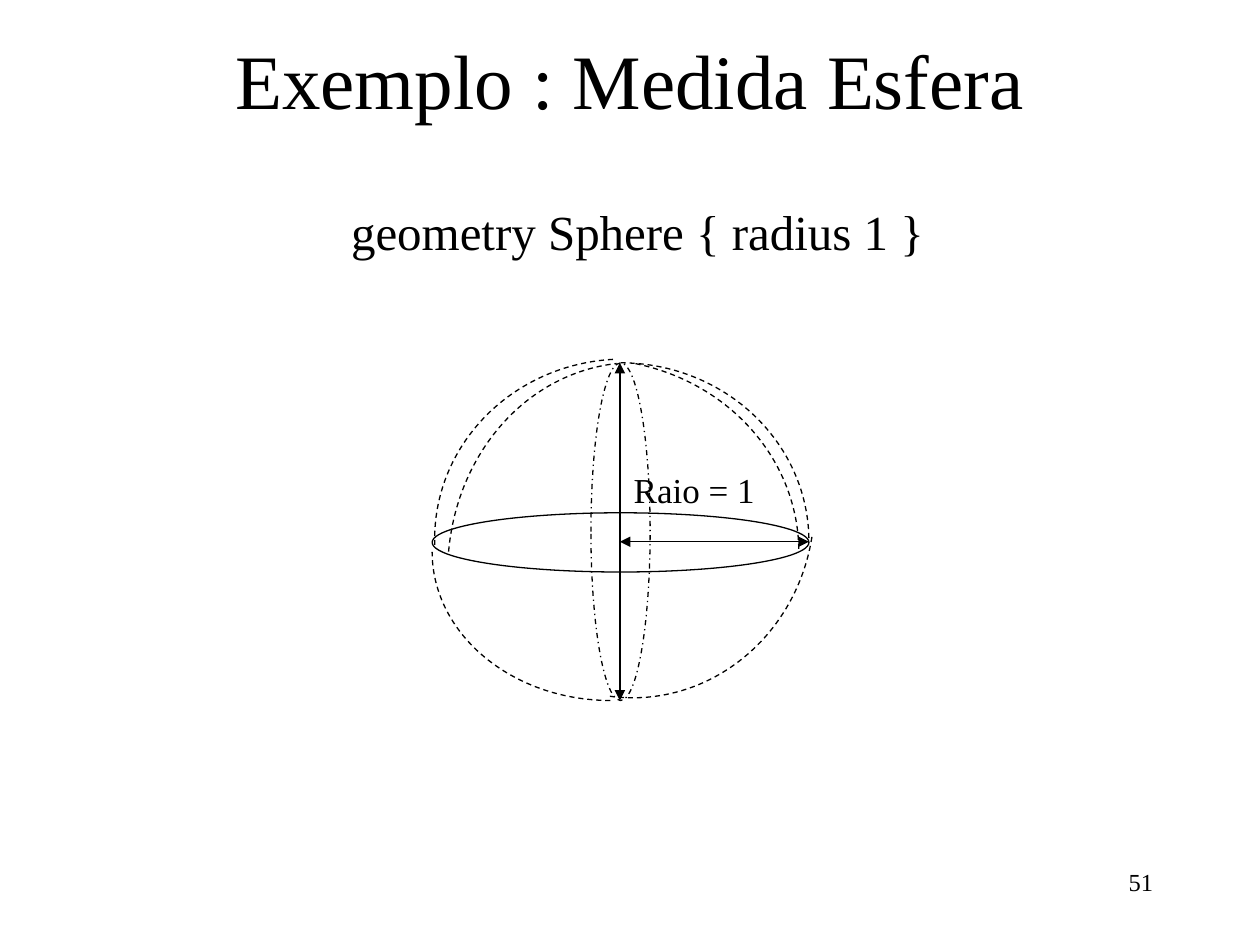
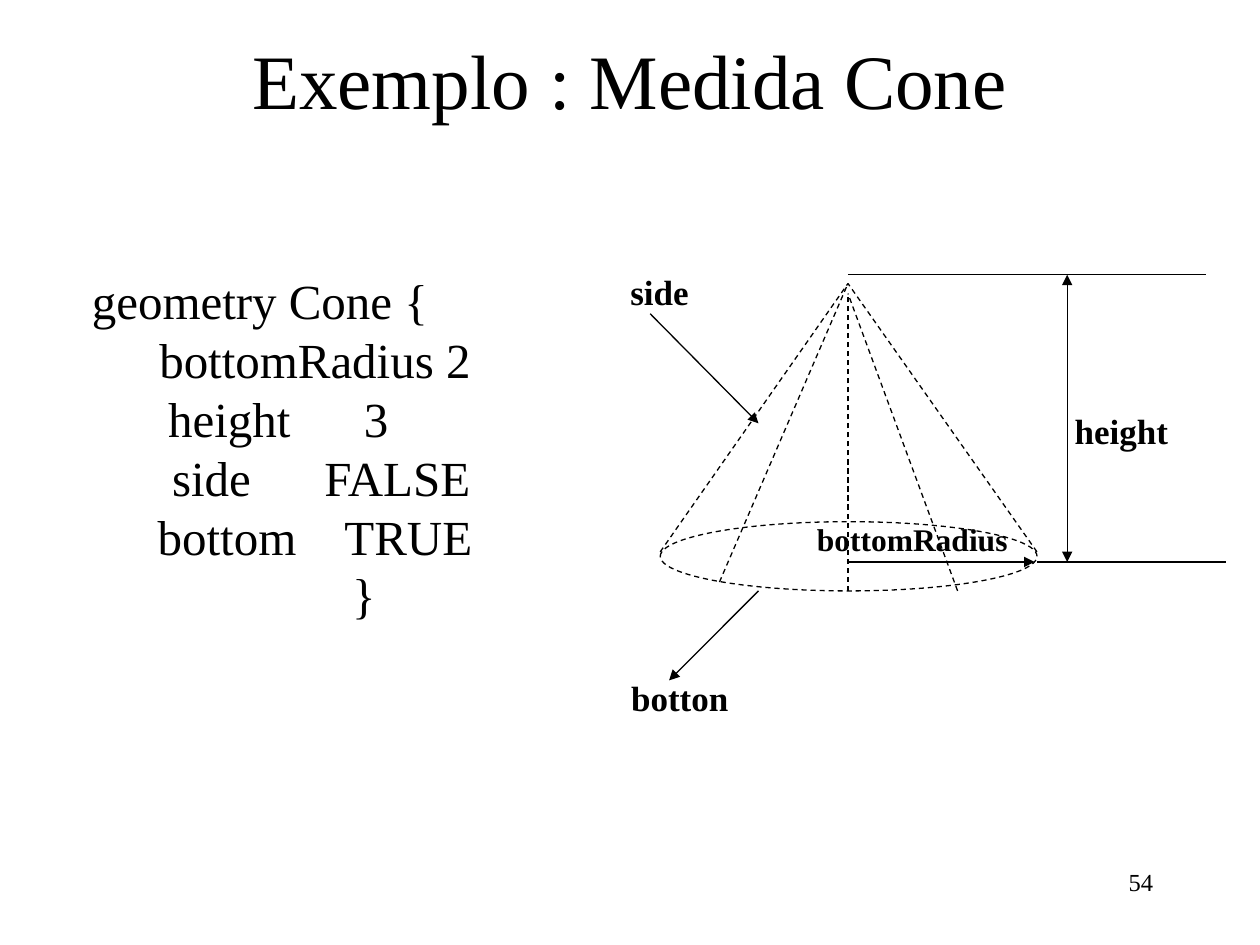
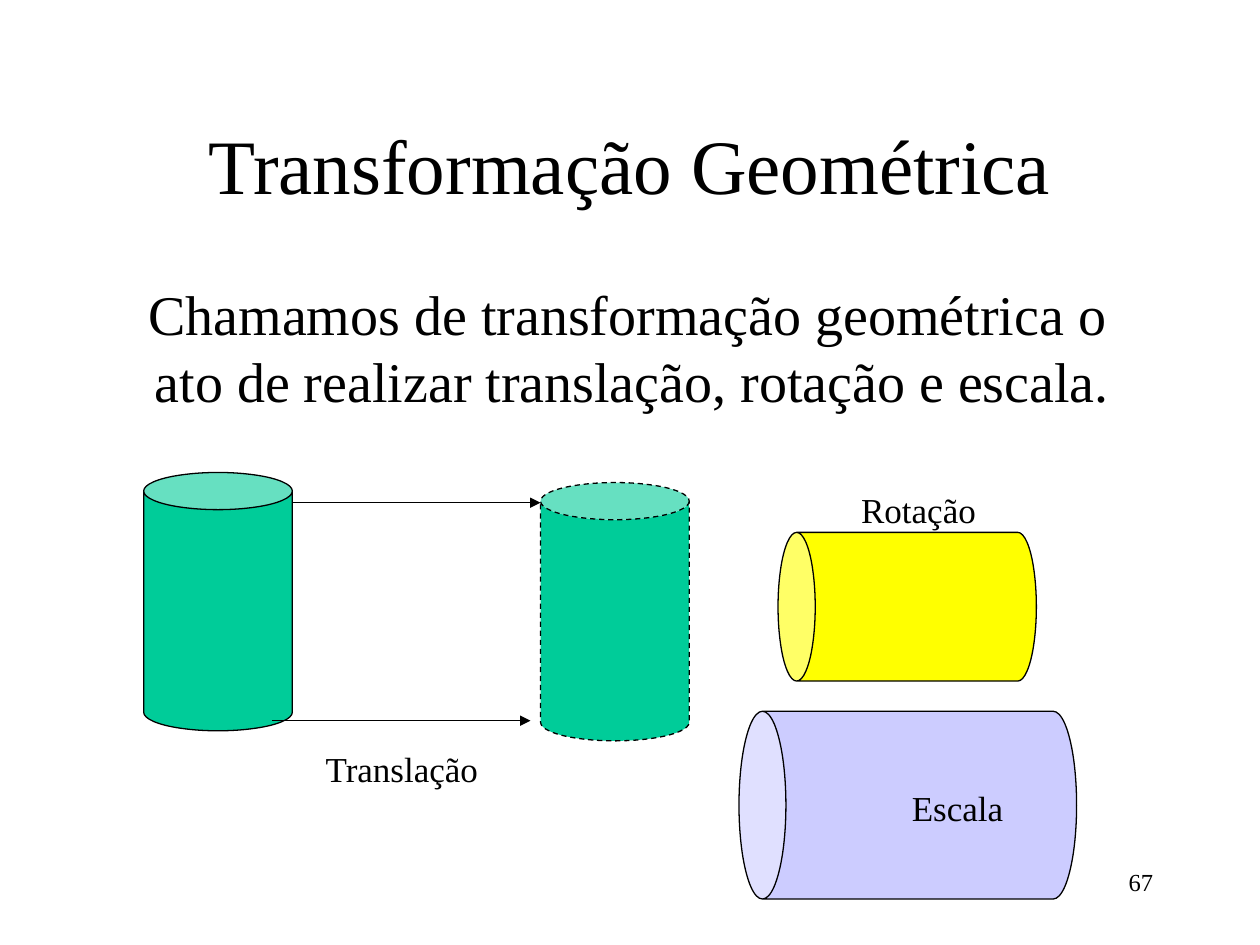
from dataclasses import dataclass

from lxml.etree import SubElement
from pptx import Presentation
from pptx.dml.color import RGBColor
from pptx.enum.dml import MSO_LINE
from pptx.enum.shapes import MSO_CONNECTOR, MSO_SHAPE
from pptx.enum.text import MSO_ANCHOR, PP_ALIGN
from pptx.oxml.ns import qn
from pptx.util import Inches, Pt


@dataclass(frozen=True)
class Theme:
    font: str = "Times New Roman"
    ink: RGBColor = RGBColor(0, 0, 0)
    green: RGBColor = RGBColor(0x00, 0xCC, 0x99)
    yellow: RGBColor = RGBColor(0xFF, 0xFF, 0x00)
    lilac: RGBColor = RGBColor(0xCC, 0xCC, 0xFF)
    title: int = 44
    body: int = 32
    code: int = 28
    label: int = 20
    small_label: int = 18
    number: int = 14
    line: float = 0.75


theme = Theme()
CENTER, LEFT, RIGHT = PP_ALIGN.CENTER, PP_ALIGN.LEFT, PP_ALIGN.RIGHT
DASH, DASH_DOT = MSO_LINE.DASH, MSO_LINE.DASH_DOT
ELLIPSE, CAN, ARC = MSO_SHAPE.OVAL, MSO_SHAPE.CAN, MSO_SHAPE.ARC
ARC_UNITS_PER_DEGREE = 0.6
NO_HEAD, END, BOTH = (), ("tailEnd",), ("headEnd", "tailEnd")


def add_text(page, area, lines, size, align=CENTER, bold=False, anchor=MSO_ANCHOR.TOP):
    box = page.shapes.add_textbox(*map(Inches, area))
    frame = box.text_frame
    frame.word_wrap = True
    frame.vertical_anchor = anchor
    font_format = {"name": theme.font, "size": Pt(size), "bold": bold}
    for index, line in enumerate(lines):
        para = frame.paragraphs[0] if index == 0 else frame.add_paragraph()
        para.alignment = align
        span = para.add_run()
        span.text = line
        for name, value in font_format.items():
            setattr(span.font, name, value)
        span.font.color.rgb = theme.ink
    return box


def set_line(item, dash):
    item.line.color.rgb = theme.ink
    line_format = {"width": Pt(theme.line), "dash_style": dash}
    for name, value in line_format.items():
        setattr(item.line, name, value)


apex, cone_left, cone_right = (6.73, 2.25), (5.24, 4.38), (8.23, 4.38)
inner_apex = (6.73, 2.33)
sphere_center = (4.92, 4.3)

slides = [
    {
        "title": "Exemplo : Medida Esfera",
        "title_top": 0,
        "number": "51",
        "shapes": [
            (ELLIPSE, (4.69, 2.88, 0.47, 2.68), 0, None, DASH_DOT, None),
            (ELLIPSE, (3.43, 4.07, 2.99, 0.47), 0, None, None, None),
            (ARC, (3.43, 2.88, 2.99, 2.83), 0, None, DASH, (270, 0)),
            (ARC, (3.45, 2.85, 2.99, 2.84), -2.1, None, DASH, (180, 270)),
            (ARC, (3.03, 2.85, 3.31, 3.06), 0, None, DASH, (283.5, 0)),
            (ARC, (3.37, 3.06, 3.43, 3.06), 83.6, None, DASH, (104.3, 180)),
            (ARC, (3.43, 3.2, 2.83, 2.36), 0, None, DASH, (90, 180)),
            (ARC, (3.55, 2.63, 2.99, 2.83), 98.8, None, DASH, (270, 0)),
        ],
        "lines": [
            (sphere_center, (6.42, 4.3), None, BOTH),
            ((4.92, 2.88), (4.92, 5.56), None, BOTH),
        ],
        "labels": [
            ((4.37, 3.67, 2.28, 0.44), ["Raio = 1"], theme.label, False),
            ((2.56, 1.55, 5, 0.57), ["geometry Sphere { radius 1 }"], theme.code, False),
        ],
    },
    {
        "title": "Exemplo : Medida Cone",
        "title_top": 0,
        "number": "54",
        "shapes": [(ELLIPSE, (5.24, 4.14, 2.99, 0.55), 0, None, DASH, None)],
        "lines": [
            (cone_left, apex, DASH, NO_HEAD),
            (cone_right, apex, DASH, NO_HEAD),
            ((5.71, 4.62), apex, DASH, NO_HEAD),
            ((6.73, 4.69), inner_apex, DASH, NO_HEAD),
            ((7.6, 4.69), inner_apex, DASH, NO_HEAD),
            ((6.72, 4.46), (8.21, 4.46), None, END),
            ((6.73, 2.18), (9.57, 2.18), None, NO_HEAD),
            ((8.23, 4.46), (9.73, 4.46), None, NO_HEAD),
            ((8.47, 2.18), (8.47, 4.46), None, BOTH),
            ((6.02, 4.69), (5.31, 5.4), None, END),
            ((5.16, 2.49), (6.02, 3.36), None, END),
        ],
        "labels": [
            (
                (0.27, 2.1, 3.78, 2.9),
                [
                    "geometry Cone {  ",
                    "       bottomRadius 2",
                    " height      3",
                    "        side      FALSE",
                    "         bottom    TRUE                  }",
                ],
                theme.code,
                False,
            ),
            ((6.1, 4.08, 2.28, 0.4), ["bottomRadius"], theme.small_label, True),
            ((8.36, 3.2, 1.08, 0.44), ["height"], theme.label, True),
            ((4.45, 5.32, 1.89, 0.44), ["botton"], theme.label, True),
            ((4.21, 2.1, 2.05, 0.44), ["side"], theme.label, True),
        ],
    },
    {
        "title": "Transformação Geométrica",
        "title_top": 0.67,
        "number": "67",
        "shapes": [
            (CAN, (1.14, 3.75, 1.18, 2.05), 0, theme.green, None, None),
            (CAN, (4.29, 3.83, 1.18, 2.05), 0, theme.green, DASH, None),
            (CAN, (6.61, 3.79, 1.18, 2.05), 270, theme.yellow, None, None),
            (CAN, (6.46, 5.05, 1.49, 2.68), 270, theme.lilac, None, None),
        ],
        "lines": [
            ((2.32, 3.99), (4.29, 3.99), None, END),
            ((2.16, 5.72), (4.21, 5.72), None, END),
        ],
        "labels": [
            ((1.77, 5.88, 2.84, 0.44), ["Translação"], theme.label, False),
            ((5.87, 3.83, 2.84, 0.44), ["Rotação"], theme.label, False),
            ((6.18, 6.19, 2.84, 0.44), ["Escala"], theme.label, False),
        ],
    },
]

deck = Presentation()
deck.slide_width, deck.slide_height = Inches(10), Inches(7.5)

for content in slides:
    page = deck.slides.add_slide(deck.slide_layouts[6])
    title_area = (0.75, content["title_top"], 8.5, 1.25)
    add_text(page, title_area, [content["title"]], theme.title, anchor=MSO_ANCHOR.MIDDLE)

    for kind, area, rotation, fill, dash, angles in content["shapes"]:
        shape = page.shapes.add_shape(kind, *map(Inches, area))
        shape.shadow.inherit = False
        shape.rotation = rotation
        if fill is None:
            shape.fill.background()
        else:
            shape.fill.solid()
            shape.fill.fore_color.rgb = fill
        set_line(shape, dash)
        for index, angle in enumerate(angles or ()):
            shape.adjustments[index] = angle * ARC_UNITS_PER_DEGREE

    for start, end, dash, heads in content["lines"]:
        connector = page.shapes.add_connector(
            MSO_CONNECTOR.STRAIGHT, *map(Inches, start + end)
        )
        set_line(connector, dash)
        properties = connector._element.spPr
        for head in heads:
            SubElement(properties.find(qn("a:ln")), qn(f"a:{head}"), type="triangle")
        SubElement(properties, qn("a:effectLst"))

    for area, lines, size, bold in content["labels"]:
        add_text(page, area, lines, size, bold=bold)

    add_text(page, (7.17, 6.83, 2.08, 0.5), [content["number"]], theme.number, RIGHT)

definition = add_text(
    page,
    (0.75, 2.17, 8.5, 1.35),
    ["Chamamos de transformação geométrica o ato de realizar translação, rotação e escala."],
    theme.body,
    LEFT,
)
indents = {"marL": Inches(0.38), "indent": Inches(-0.05)}
for name, value in indents.items():
    definition.text_frame.paragraphs[0]._p.get_or_add_pPr().set(name, str(value))

deck.save("out.pptx")
